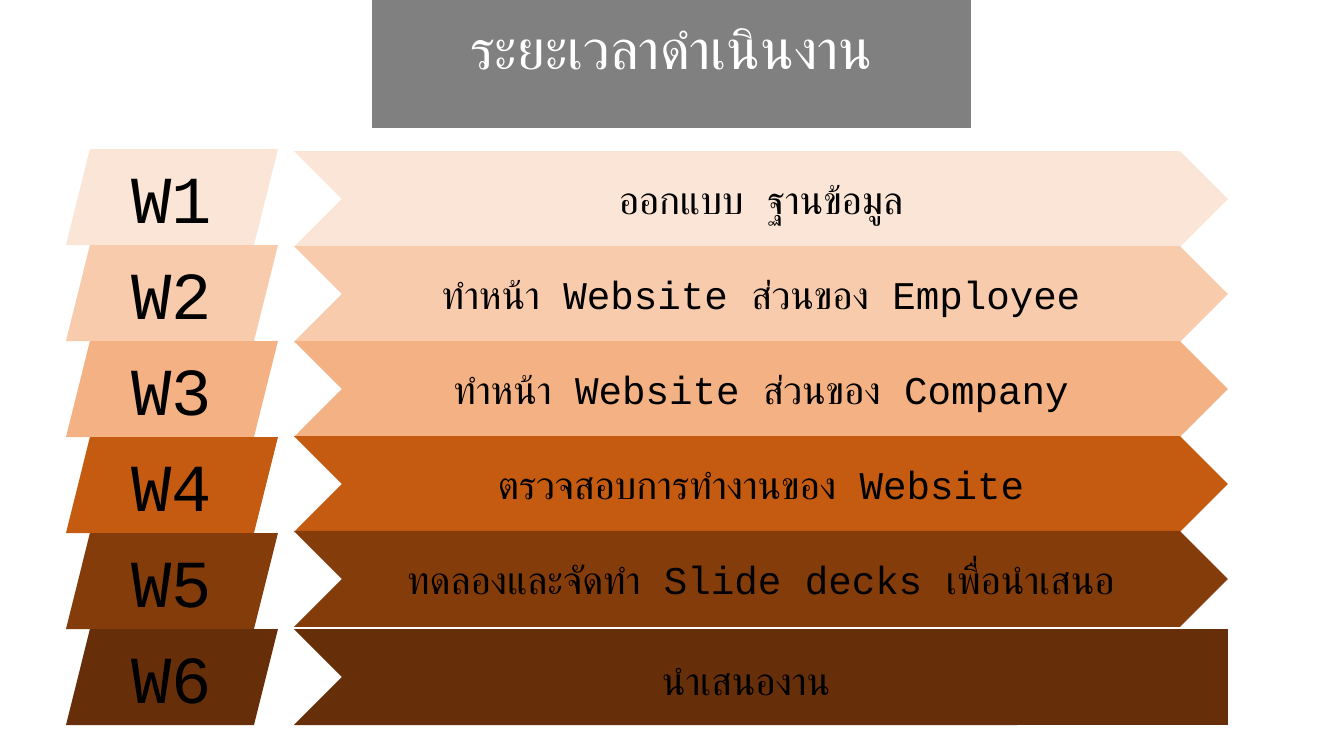
"""Build the project timeline slide."""
from lxml.etree import SubElement
from pptx import Presentation
from pptx.dml.color import RGBColor
from pptx.enum.shapes import MSO_SHAPE
from pptx.enum.text import MSO_ANCHOR, MSO_AUTO_SIZE, PP_ALIGN
from pptx.oxml.ns import qn
from pptx.util import Emu, Pt

FONT = "Courier New"
WEEKS = [
    ("FBE5D6", "ออกแบบ ฐานข้อมูล"),
    ("F8CBAD", "ทำหน้า Website ส่วนของ Employee"),
    ("F4B183", "ทำหน้า Website ส่วนของ Company"),
    ("C55A11", "ตรวจสอบการทำงานของ Website"),
    ("843C0B", "ทดลองและจัดทำ Slide decks เพื่อนำเสนอ"),
    ("672F09", "นำเสนองาน"),
]


def px(length):
    return Emu(round(length * 914400 / 100.8))


def color(value):
    return RGBColor.from_string(value)


class TimelineSlide:
    def __init__(self, deck):
        self.slide = deck.slides.add_slide(deck.slide_layouts[5])

    def letter(self, shape, text, size, ink="000000", align=PP_ALIGN.CENTER,
               anchor=MSO_ANCHOR.MIDDLE):
        frame = shape.text_frame
        frame.text = text
        frame.word_wrap = True
        frame.auto_size = MSO_AUTO_SIZE.NONE
        frame.vertical_anchor = anchor
        paragraph = frame.paragraphs[0]
        paragraph.alignment = align
        for run in paragraph.runs:
            run.font.size = Pt(size)
            run.font.name = FONT
            run.font.color.rgb = color(ink)
            SubElement(run._r.get_or_add_rPr(), qn("a:cs"), typeface=FONT)

    def title(self, box, text, fill):
        heading = self.slide.shapes.title
        heading.left, heading.top, heading.width, heading.height = map(px, box)
        heading.fill.solid()
        heading.fill.fore_color.rgb = color(fill)
        self.letter(heading, text, 40, "FFFFFF")

    def block(self, kind, box, fill, text="", size=28, parent=None):
        shapes = (parent or self.slide).shapes
        block = shapes.add_shape(kind, *map(px, box))
        block.shadow.inherit = False
        block.fill.solid()
        block.fill.fore_color.rgb = color(fill)
        block.line.fill.background()
        if text:
            self.letter(block, text, size)

    def banner(self, top, fill, text):
        banner = self.slide.shapes.add_group_shape()
        self.block(MSO_SHAPE.CHEVRON, (294, top, 771, 96), fill, parent=banner)
        self.block(MSO_SHAPE.RECTANGLE, (1015, top, 213, 96), fill, parent=banner)
        label = self.slide.shapes.add_textbox(*map(px, (652, top + 22, 330, 105)))
        self.letter(label, text, 28, align=PP_ALIGN.LEFT, anchor=MSO_ANCHOR.TOP)


def main():
    deck = Presentation()
    deck.slide_width, deck.slide_height = px(1344), px(756)
    timeline = TimelineSlide(deck)
    timeline.title((372, -33, 599, 161), "ระยะเวลาดำเนินงาน", "808080")
    for week, (fill, _) in enumerate(WEEKS):
        timeline.block(MSO_SHAPE.PARALLELOGRAM, (66, 149 + 96 * week, 212, 96),
                       fill, f"W{week + 1}", 48)
    for week, (fill, task) in enumerate(WEEKS[:-1]):
        timeline.block(MSO_SHAPE.CHEVRON, (294, 151 + 95 * week, 934, 96), fill, task)
    timeline.banner(629, *WEEKS[-1])
    deck.save("out.pptx")


if __name__ == "__main__":
    main()
